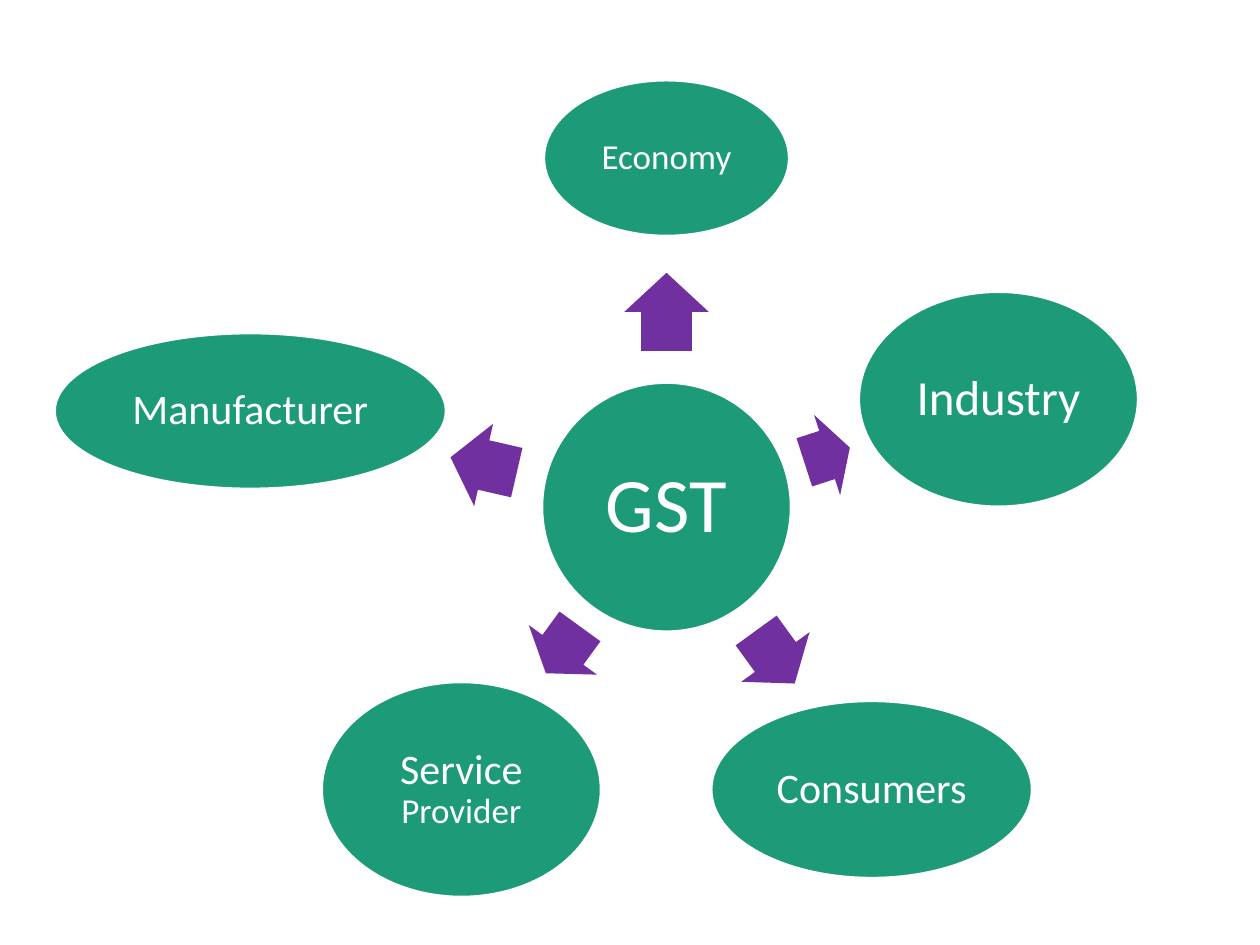
import math
from dataclasses import dataclass

import pptx
import pptx.dml.color
import pptx.enum.shapes
import pptx.enum.text
import pptx.util
from pptx.util import Inches

SHAPES = pptx.enum.shapes.MSO_SHAPE


@dataclass(frozen=True)
class Theme:
    font: str = "Calibri"
    node: str = "1D9A78"
    arrow: str = "7030A0"
    light: str = "FFFFFF"
    hub_size: int = 44
    large: int = 28
    medium: int = 24
    small: int = 20
    gap: int = 18


THEME = Theme()


@dataclass(frozen=True)
class Spoke:
    """A node and its arrow, both centred on one ray from the hub."""
    runs: tuple
    angle: float
    width: float
    height: float
    arrow_distance: float
    arrow_length: float
    distance: float = 2.77
    inset: float = 0.03


SPOKES = (
    Spoke((("Economy", THEME.small),), 270, 1.94, 1.23, 1.55, 0.62),
    Spoke((("Industry", THEME.large),), 342, 2.21, 1.7, 1.34, 0.38, inset=0.04),
    Spoke((("Consumers", THEME.medium),), 54, 2.54, 1.4, 1.47, 0.52),
    Spoke((("Service", THEME.medium), (" ", THEME.gap), ("Provider", THEME.small)),
          126, 2.21, 1.7, 1.4, 0.46),
    Spoke((("Manufacturer", THEME.medium),), 193, 3.1, 1.23, 1.49, 0.54,
          distance=3.39),
)


def rgb(value):
    return pptx.dml.color.RGBColor.from_string(value)


def add_centred(s, kind, cx, cy, width, height, fill):
    sp = s.shapes.add_shape(kind, Inches(cx - width / 2), Inches(cy - height / 2),
                            Inches(width), Inches(height))
    sp.shadow.inherit = False
    sp.fill.solid()
    sp.fill.fore_color.rgb = rgb(fill)
    return sp


def add_node(s, cx, cy, width, height, runs, inset):
    sp = add_centred(s, SHAPES.OVAL, cx, cy, width, height, THEME.node)
    sp.line.color.rgb = rgb(THEME.light)
    sp.line.width = pptx.util.Pt(1)
    tf = sp.text_frame
    tf.word_wrap = True
    tf.vertical_anchor = pptx.enum.text.MSO_ANCHOR.MIDDLE
    tf.margin_left = tf.margin_right = Inches(inset)
    tf.margin_top = tf.margin_bottom = Inches(inset)
    p = tf.paragraphs[0]
    p.alignment = pptx.enum.text.PP_ALIGN.CENTER
    p.line_spacing = 0.9
    for text, size in runs:
        r = p.add_run()
        r.text = text
        r.font.name = THEME.font
        r.font.size = pptx.util.Pt(size)
        r.font.color.rgb = rgb(THEME.light)


def add_arrow(s, cx, cy, length, angle):
    sp = add_centred(s, SHAPES.RIGHT_ARROW, cx, cy, length, 0.67, THEME.arrow)
    sp.line.fill.background()
    sp.adjustments[0] = 0.6
    sp.adjustments[1] = 0.5
    sp.rotation = angle


def add_radial_diagram(s, left, top, width, height):
    """Place the hub at the middle of the box and the spokes around it."""
    cx, cy = left + width / 2, top + height / 2
    add_node(s, cx, cy, 1.97, 1.97, (("GST", THEME.hub_size),), 0.06)
    for spoke in SPOKES:
        dx = math.cos(math.radians(spoke.angle))
        dy = math.sin(math.radians(spoke.angle))
        add_arrow(s, cx + spoke.arrow_distance * dx, cy + spoke.arrow_distance * dy,
                  spoke.arrow_length, spoke.angle)
        add_node(s, cx + spoke.distance * dx, cy + spoke.distance * dy,
                 spoke.width, spoke.height, spoke.runs, spoke.inset)


def main():
    prs = pptx.Presentation()
    prs.slide_width, prs.slide_height = Inches(10), Inches(7.5)
    s = prs.slides.add_slide(prs.slide_layouts[6])
    add_radial_diagram(s, 0.44, 0.65, 9.7, 6.75)
    prs.save("out.pptx")


if __name__ == "__main__":
    main()
